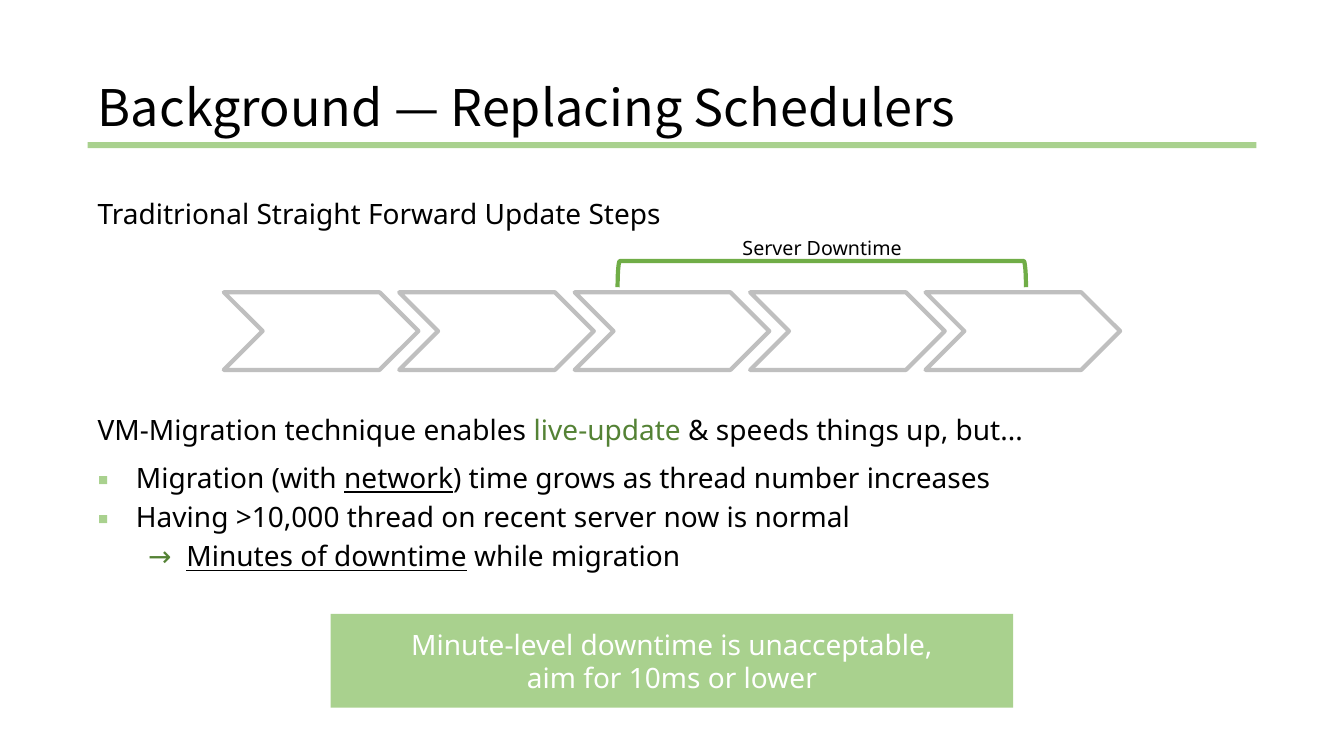
from dataclasses import dataclass

from lxml.etree import SubElement
from pptx import Presentation
from pptx.dml.color import RGBColor
from pptx.enum.shapes import MSO_SHAPE
from pptx.enum.text import MSO_ANCHOR, MSO_AUTO_SIZE, PP_ALIGN
from pptx.oxml.ns import qn
from pptx.util import Inches, Pt


@dataclass(frozen=True)
class Theme:
    black: str = "000000"
    white: str = "FFFFFF"
    light_green: str = "A9D18E"
    green: str = "70AD47"
    dark_green: str = "548235"
    grey: str = "BFBFBF"
    title_font: str = "Noto Sans CJK JP"
    body_font: str = "Noto Sans"
    title_size: int = 36
    body_size: int = 20
    label_size: int = 14
    line_spacing: int = 28
    outline: int = 3


THEME = Theme()


def style_span(span, size=THEME.body_size, color=THEME.black, font=THEME.body_font):
    span.font.size = Pt(size)
    span.font.name = font
    span.font.color.rgb = RGBColor.from_string(color)
    properties = span.font._element
    SubElement(properties, qn("a:ea")).set("typeface", font)


def add_shape(slide, kind, box, fill=None, line=None):
    shape = slide.shapes.add_shape(kind, *map(Inches, box))
    shape.shadow.inherit = False
    if fill:
        shape.fill.solid()
        shape.fill.fore_color.rgb = RGBColor.from_string(fill)
    else:
        shape.fill.background()
    if line:
        shape.line.color.rgb = RGBColor.from_string(line)
        shape.line.width = Pt(THEME.outline)
    else:
        shape.line.fill.background()
    return shape


def add_text_box(slide, box):
    frame = slide.shapes.add_textbox(*map(Inches, box)).text_frame
    frame.word_wrap = True
    return frame


def add_spans(para, spans):
    """Each span is a text, a color and whether it is underlined."""
    para.line_spacing = Pt(THEME.line_spacing)
    for text, color, underline in spans:
        span = para.add_run()
        span.text = text
        style_span(span, color=color)
        if underline:
            span.font.underline = True


def set_bullet(para, symbol, color, left):
    properties = para._p.get_or_add_pPr()
    properties.set("marL", str(Inches(left)))
    properties.set("indent", str(-Inches(0.38)))
    bullet_color = SubElement(properties, qn("a:buClr"))
    SubElement(bullet_color, qn("a:srgbClr")).set("val", color)
    SubElement(properties, qn("a:buFont")).set("typeface", THEME.body_font)
    SubElement(properties, qn("a:buChar")).set("char", symbol)


def place_title(slide, box):
    left, top, width, height = box
    title = slide.shapes.title
    title.left, title.top, title.width, title.height = map(Inches, box)
    frame = title.text_frame
    frame.text = "Background — Replacing Schedulers"
    frame.auto_size = MSO_AUTO_SIZE.NONE
    frame.vertical_anchor = MSO_ANCHOR.MIDDLE
    para = frame.paragraphs[0]
    para.alignment = PP_ALIGN.LEFT
    para.line_spacing = 0.9
    style_span(para.runs[0], THEME.title_size, font=THEME.title_font)
    # Rule under the title
    add_shape(slide, MSO_SHAPE.RECTANGLE, (left, top + height - 0.01, width, 0.06),
              THEME.light_green)


def place_update_steps(slide, box):
    left, top, width, height = box
    heading = add_text_box(slide, (left, top, width, 0.47)).paragraphs[0]
    add_spans(heading, [("Traditrional Straight Forward Update Steps", THEME.black, False)])

    # Row of steps
    step_count, step_width, step_height, pitch = 5, 1.93, 0.77, 1.74
    for index in range(step_count):
        step_left = left + 1.35 + index * pitch
        add_shape(slide, MSO_SHAPE.CHEVRON,
                  (step_left, top + height - step_height, step_width, step_height),
                  THEME.white, THEME.grey)

    # Downtime bracket, turned to open downwards
    center_x, center_y = left + 7.28, top + 0.88
    depth, span_width = 0.26, 4.05
    bracket = add_shape(slide, MSO_SHAPE.LEFT_BRACKET,
                        (center_x - depth / 2, center_y - span_width / 2, depth, span_width),
                        line=THEME.green)
    bracket.rotation = 90

    # Downtime label
    label = add_text_box(slide, (center_x - 1.13, top + 0.42, 2.27, 0.4))
    label.vertical_anchor = MSO_ANCHOR.MIDDLE
    label.text = "Server Downtime"
    label.paragraphs[0].alignment = PP_ALIGN.CENTER
    style_span(label.paragraphs[0].runs[0], THEME.label_size)


def place_migration_notes(slide, box):
    frame = add_text_box(slide, box)
    add_spans(frame.paragraphs[0], [
        ("VM-Migration technique enables ", THEME.black, False),
        ("live-update", THEME.dark_green, False),
        (" & speeds things up, but...", THEME.black, False),
    ])
    frame.paragraphs[0].space_after = Pt(6)

    square = ("▪", THEME.light_green, 0.38)
    arrow = ("→", THEME.dark_green, 0.88)
    notes = [
        (0, square, [("Migration (with ", THEME.black, False),
                     ("network", THEME.black, True),
                     (") time grows as thread number increases", THEME.black, False)]),
        (0, square, [("Having >10,000 thread on recent server now is normal",
                      THEME.black, False)]),
        (1, arrow, [("Minutes of downtime", THEME.black, True),
                    (" while migration", THEME.black, False)]),
    ]
    for level, bullet, spans in notes:
        para = frame.add_paragraph()
        para.level = level
        add_spans(para, spans)
        set_bullet(para, *bullet)


def place_goal(slide, box):
    goal = add_shape(slide, MSO_SHAPE.RECTANGLE, box, THEME.light_green)
    frame = goal.text_frame
    frame.vertical_anchor = MSO_ANCHOR.MIDDLE
    para = frame.paragraphs[0]
    para.text = "Minute-level downtime is unacceptable,\vaim for 10ms or lower"
    para.alignment = PP_ALIGN.CENTER
    for span in para.runs:
        style_span(span, color=THEME.white)


def main():
    deck = Presentation()
    deck.slide_width, deck.slide_height = Inches(13.33), Inches(7.5)
    slide = deck.slides.add_slide(deck.slide_layouts[5])
    left, width = 0.87, 11.59
    place_title(slide, (left, 0.77, width, 0.65))
    place_update_steps(slide, (left, 1.84, width, 1.83))
    place_migration_notes(slide, (left, 3.99, width, 1.72))
    place_goal(slide, (3.28, 6.09, 6.77, 0.93))
    deck.save("out.pptx")


if __name__ == "__main__":
    main()
